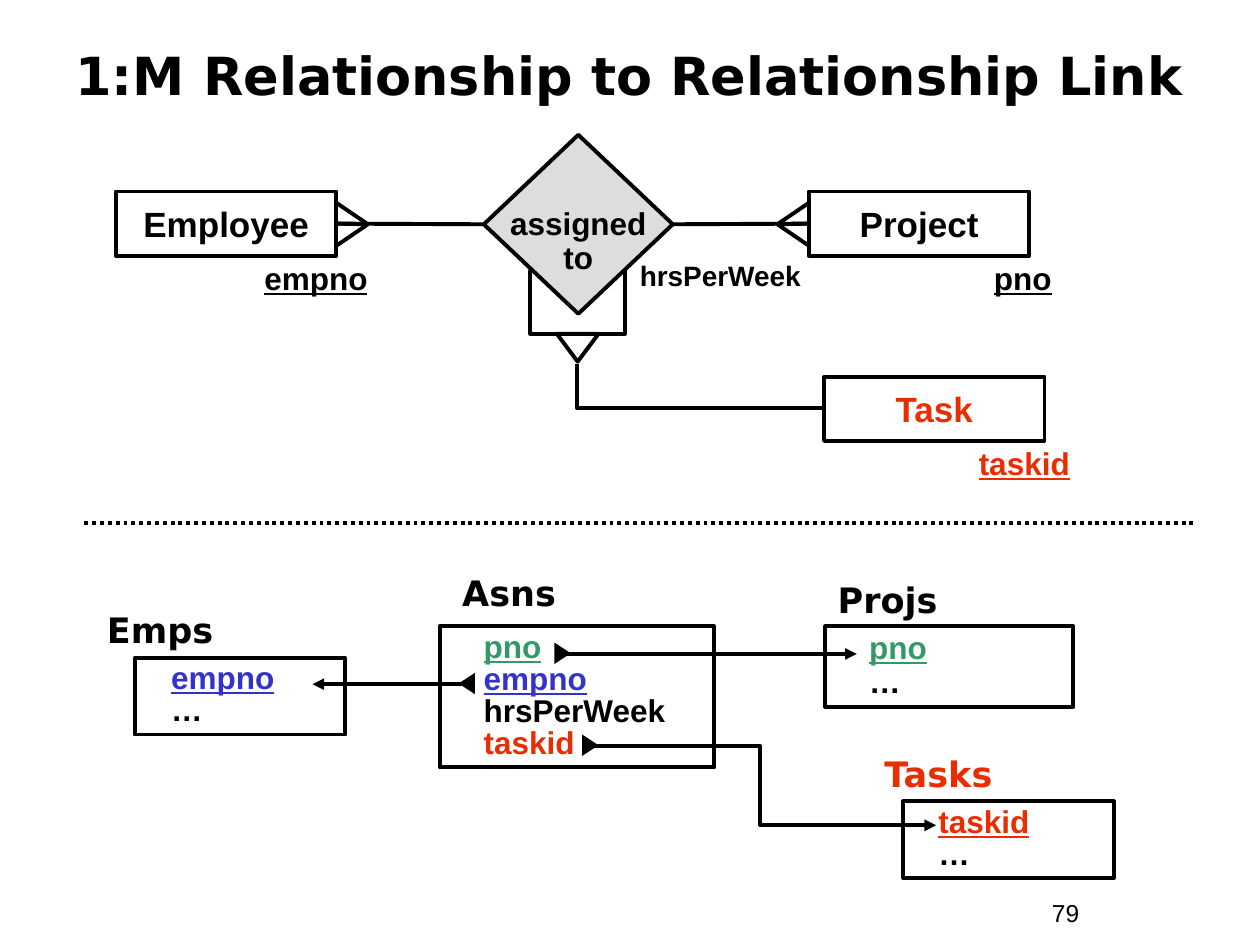
from dataclasses import dataclass
from typing import NamedTuple

from lxml import etree
from pptx import Presentation
from pptx.dml.color import RGBColor
from pptx.enum.dml import MSO_LINE
from pptx.enum.shapes import MSO_CONNECTOR, MSO_SHAPE
from pptx.enum.text import MSO_ANCHOR, PP_ALIGN
from pptx.oxml.ns import qn
from pptx.util import Inches, Pt

STRAIGHT, ELBOW = MSO_CONNECTOR.STRAIGHT, MSO_CONNECTOR.ELBOW
RECT, TIP = MSO_SHAPE.RECTANGLE, MSO_SHAPE.ISOSCELES_TRIANGLE
DIAMOND, MERGE = MSO_SHAPE.FLOWCHART_DECISION, MSO_SHAPE.FLOWCHART_MERGE
LEFT, CENTER = PP_ALIGN.LEFT, PP_ALIGN.CENTER
TOP, MIDDLE = MSO_ANCHOR.TOP, MSO_ANCHOR.MIDDLE
DOTS = MSO_LINE.ROUND_DOT
SIDE_LEFT, SIDE_RIGHT = 1, 3


@dataclass(frozen=True)
class Theme:
    black: str = "000000"
    grey: str = "DDDDDD"
    red: str = "EA2D00"
    green: str = "339966"
    blue: str = "3333CC"
    body: str = "Arial"
    head: str = "DejaVu Sans"
    title: float = 30
    name: float = 20
    key: float = 18
    note: float = 16
    page: float = 14
    stroke: float = 2.25


T = Theme()


class Box(NamedTuple):
    x: float
    y: float
    w: float
    h: float


class Line(NamedTuple):
    text: str
    color: str = T.black
    under: bool = False


class Label(NamedTuple):
    box: Box
    line: Line
    size: float
    font: str = T.body
    space: float = 1.0
    bold: bool = True
    align: PP_ALIGN = LEFT
    anchor: MSO_ANCHOR = TOP


class Table(NamedTuple):
    box: Box
    lines: list[Line]
    indent: float
    space: float = 0.85


def place(box: Box) -> list[int]:
    return [Inches(v) for v in box]


def write(shape, lines: list[Line], size: float, font: str = T.body,
          space: float = 1.0, bold: bool = True, align: PP_ALIGN = LEFT,
          anchor: MSO_ANCHOR = TOP, indent: float = 0, wrap: bool = True) -> None:
    frame = shape.text_frame
    frame.word_wrap = wrap
    frame.vertical_anchor = anchor
    for i, line in enumerate(lines):
        para = frame.add_paragraph() if i else frame.paragraphs[0]
        para.alignment, para.line_spacing = align, space
        if indent:
            props = para._p.get_or_add_pPr()
            props.set("marL", str(Inches(indent)))
            props.set("indent", "0")
        run = para.add_run()
        run.text = line.text
        run.font.name, run.font.size = font, Pt(size)
        run.font.bold, run.font.underline = bold, line.under
        run.font.color.rgb = RGBColor.from_string(line.color)


def draw(kind: MSO_SHAPE, box: Box, fill: str = "", edge: bool = True):
    shape = shapes.add_shape(kind, *place(box))
    shape.shadow.inherit = False
    if fill:
        shape.fill.solid()
        shape.fill.fore_color.rgb = RGBColor.from_string(fill)
    else:
        shape.fill.background()
    if edge:
        shape.line.color.rgb = RGBColor.from_string(T.black)
        shape.line.width = Pt(T.stroke)
    else:
        shape.line.fill.background()
    return shape


def link(x1: float, y1: float, x2: float, y2: float,
         kind: MSO_CONNECTOR = STRAIGHT, arrow: bool = False):
    wire = shapes.add_connector(kind, *place(Box(x1, y1, x2, y2)))
    wire.line.color.rgb = RGBColor.from_string(T.black)
    wire.line.width = Pt(T.stroke)
    if arrow:
        etree.SubElement(wire.line._get_or_add_ln(), qn("a:tailEnd"), type="triangle")
    etree.SubElement(wire._element.spPr, qn("a:effectLst"))
    return wire


def label(item: Label) -> None:
    shape = shapes.add_textbox(*place(item.box))
    write(shape, [item.line], *item[2:])


def entity(box: Box, line: Line):
    shape = draw(RECT, box)
    write(shape, [line], T.name, align=CENTER, anchor=MIDDLE, wrap=False)
    return shape


def fan(shape, side: int, tip: float, edge: float, y: float) -> None:
    """Many-end of a link: three toes from the tip to a box side."""
    for rise in (-0.17, 0, 0.17):
        toe = link(tip, y, edge, y + rise)
        if not rise:
            toe.end_connect(shape, side)


deck = Presentation()
deck.slide_width, deck.slide_height = Inches(10), Inches(7.5)
shapes = deck.slides.add_slide(deck.slide_layouts[6]).shapes

# Title, page number and divider
label(Label(Box(0.33, 0.13, 9.33, 0.92), Line("1:M Relationship to Relationship Link"),
            T.title, T.head, align=CENTER, anchor=MIDDLE))
label(Label(Box(8.25, 7.08, 0.92, 0.34), Line("79"), T.page, bold=False))
link(0.67, 4.15, 9.5, 4.15).line.dash_style = DOTS

# Entities and the relationship diamond
draw(RECT, Box(4.21, 2.15, 0.75, 0.5))
bond = draw(DIAMOND, Box(3.84, 1.07, 1.5, 1.42), T.grey)
write(bond, [Line("assigned"), Line("to")], T.key, space=0.9,
      align=CENTER, anchor=MIDDLE, wrap=False)
bond.text_frame.margin_top = Inches(0.33)
worker = entity(Box(0.92, 1.52, 1.75, 0.51), Line("Employee"))
project = entity(Box(6.42, 1.52, 1.75, 0.51), Line("Project"))
task = entity(Box(6.54, 2.99, 1.75, 0.51), Line("Task", T.red))

# Links between entities
MID = 1.78
for shape, near, far, tip, edge in (
    (worker, SIDE_RIGHT, SIDE_LEFT, 2.92, 2.67),
    (project, SIDE_LEFT, SIDE_RIGHT, 6.17, 6.42),
):
    wire = link(tip, MID, edge, MID)
    wire.begin_connect(bond, far)
    wire.end_connect(shape, near)
    fan(shape, near, tip, edge, MID)
draw(MERGE, Box(4.42, 2.65, 0.33, 0.22))
corner = link(6.53, 3.24, 4.58, 2.89, ELBOW)
corner._element.spPr.find(qn("a:prstGeom")).set("prst", "bentConnector2")

# Keys and table names
for item in (
    Label(Box(4.98, 2.03, 1.5, 0.34), Line("hrsPerWeek"), T.note, space=0.9),
    Label(Box(2, 2.05, 1.25, 0.36), Line("empno", under=True), T.key, space=0.85),
    Label(Box(7.79, 2.05, 1, 0.36), Line("pno", under=True), T.key, space=0.85),
    Label(Box(7.67, 3.51, 1, 0.37), Line("taskid", T.red, True), T.key, space=0.9),
    Label(Box(6.92, 5.92, 1.33, 0.44), Line("Tasks", T.red), T.name, T.head),
    Label(Box(3.57, 4.49, 2.51, 0.44), Line("Asns"), T.name, T.head),
    Label(Box(6.55, 4.54, 2.15, 0.44), Line("Projs"), T.name, T.head),
    Label(Box(0.75, 4.78, 2.15, 0.44), Line("Emps"), T.name, T.head),
):
    label(item)

# Tables with their columns
PNO, EMPNO = Line("pno", T.green, True), Line("empno", T.blue, True)
MORE = Line("…")
for table in (
    Table(Box(3.49, 4.97, 2.18, 1.12),
          [PNO, EMPNO, Line("hrsPerWeek"), Line("taskid", T.red)], 0.25),
    Table(Box(6.55, 4.97, 1.97, 0.64), [PNO, MORE], 0.25, 0.9),
    Table(Box(7.17, 6.36, 1.67, 0.61), [Line("taskid", T.red, True), MORE], 0.18),
    Table(Box(1.07, 5.22, 1.67, 0.61), [EMPNO, MORE], 0.19),
):
    write(draw(RECT, table.box), table.lines, T.key,
          space=table.space, indent=table.indent)

# Foreign key arrows with a wedge at each start
link(4.44, 5.19, 6.8, 5.19, arrow=True)
link(3.75, 5.43, 2.48, 5.43, arrow=True)
link(4.64, 5.92, 7.43, 6.55, ELBOW, True)
for x, y, turn in ((3.62, 5.36, 270), (4.38, 5.12, 90), (4.6, 5.85, 90)):
    draw(TIP, Box(x, y, 0.17, 0.13), T.black, edge=False).rotation = turn

deck.save("out.pptx")
